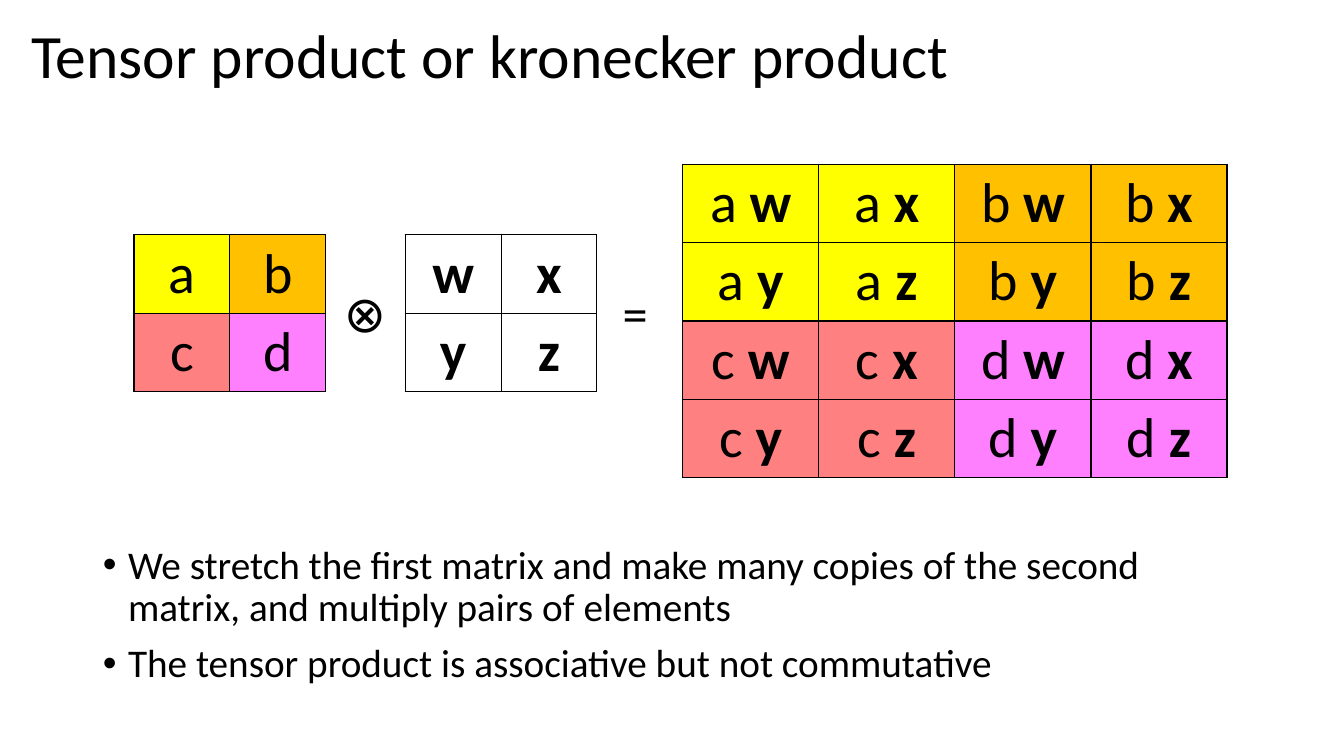
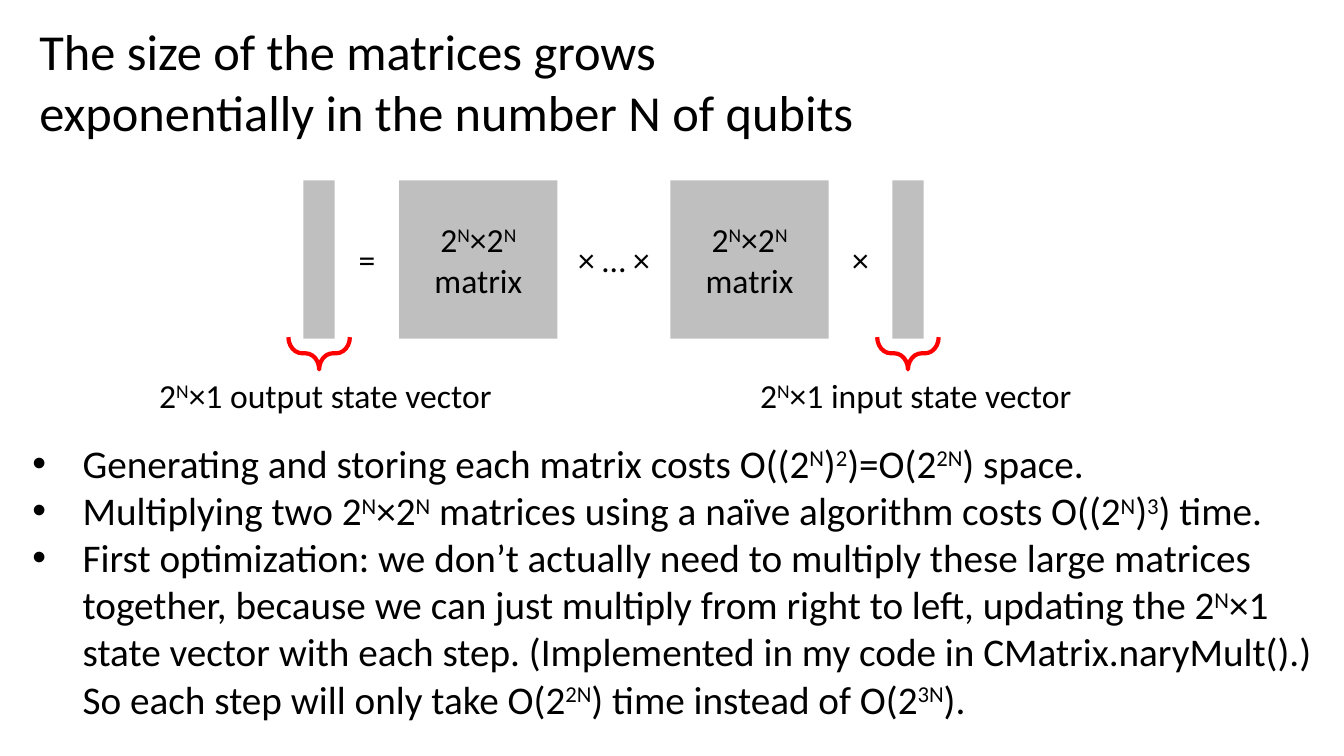
import pptx
import pptx.util
import pptx.dml.color
import pptx.enum.shapes
import pptx.enum.text
import pptx.oxml
import pptx.oxml.ns

BLACK = "000000"
GRAY = "BFBFBF"
RED = "FF0000"
FONT = "Calibri"
LEFT = pptx.enum.text.PP_ALIGN.LEFT
CENTER = pptx.enum.text.PP_ALIGN.CENTER
TOP = pptx.enum.text.MSO_ANCHOR.TOP
MIDDLE = pptx.enum.text.MSO_ANCHOR.MIDDLE

KRONECKER = {
    "title": ["Tensor product or kronecker product"],
    "title_style": {"box": (21, 10, 1132, 96), "size": 44, "anchor": MIDDLE, "line_spacing": 0.9},
    "bullets": [
        "We stretch the first matrix and make many copies of the second matrix, and multiply pairs of elements",
        "The tensor product is associative but not commutative",
    ],
    "bullet_style": {"box": (92, 536, 1150, 204), "size": 28, "indent": 25, "line_spacing": 0.9, "gap": 10},
}
GROWTH = {
    "title": ["The size of the matrices grows\nexponentially in the number N of qubits"],
    "title_style": {"box": (29, 15, 1214, 131), "size": 36},
    "bullets": [
        "Generating and storing each matrix costs O((2^N^)^2^)=O(2^2N^) space.",
        "Multiplying two 2^N^×2^N^ matrices using a naïve algorithm costs O((2^N^)^3^) time.",
        "First optimization: we don’t actually need to multiply these large matrices together, because we can "
        "just multiply from right to left, updating the 2^N^×1 state vector with each step. (Implemented in my "
        "code in CMatrix.naryMult().) So each step will only take O(2^2N^) time instead of O(2^3N^).",
    ],
    "bullet_style": {"box": (22, 431, 1304, 293), "size": 28, "indent": 50},
}

FIRST_MATRIX = ["ab", "cd"]
SECOND_MATRIX = ["wx", "yz"]
ENTRY_FILLS = {"a": "FFFF00", "b": "FFC000", "c": "FF8080", "d": "FF80FF"}
ROW_HEIGHT = 77
PRODUCT_OPERATORS = [("⊗", 362), ("=", 630)]

BLOCK_TOP, BLOCK_HEIGHT = 179, 157
VECTOR_WIDTH = 31
MATRIX_TEXT = "2^N^×2^N^\nmatrix"
BLOCKS = [(301, VECTOR_WIDTH, ""), (396, BLOCK_HEIGHT, MATRIX_TEXT),
          (665, BLOCK_HEIGHT, MATRIX_TEXT), (885, VECTOR_WIDTH, "")]
CHAIN_OPERATORS = ["=", "× … ×", "×"]
VECTOR_LABELS = [("2^N^×1 output state vector", 148), ("2^N^×1 input state vector", 744)]


def px(length):
    return pptx.util.Emu(round(length * 9144))


def color(value):
    return pptx.dml.color.RGBColor.from_string(value)


def place(shape, box):
    shape.left, shape.top, shape.width, shape.height = map(px, box)


def add_marked_runs(paragraph, text):
    for line_number, line in enumerate(text.split("\n")):
        if line_number:
            paragraph.add_line_break()
        for index, piece in enumerate(line.split("^")):
            if piece:
                run = paragraph.add_run()
                run.text = piece
                if index % 2:
                    run._r.get_or_add_rPr().set("baseline", "30000")


def write(frame, texts, size, alignment=LEFT, anchor=TOP, indent=0, line_spacing=1.0, gap=0):
    frame.word_wrap = True
    frame.auto_size = pptx.enum.text.MSO_AUTO_SIZE.NONE
    frame.vertical_anchor = anchor
    for index, text in enumerate(texts):
        paragraph = frame.add_paragraph() if index else frame.paragraphs[0]
        paragraph.alignment = alignment
        paragraph.line_spacing = line_spacing
        paragraph.space_before = pptx.util.Pt(gap if index else 0)
        if indent:
            properties = paragraph._p.get_or_add_pPr()
            properties.set("marL", str(px(indent)))
            properties.set("indent", str(-px(indent)))
        style_font(paragraph.font, size)
        add_marked_runs(paragraph, text)


def style_font(font, size):
    font.name = FONT
    font.size = pptx.util.Pt(size)
    font.color.rgb = color(BLACK)


def add_text(slide, box, text, size, alignment=CENTER):
    shape = slide.shapes.add_textbox(*map(px, box))
    write(shape.text_frame, [text], size, alignment)


def add_content_slide(presentation, content):
    slide = presentation.slides.add_slide(presentation.slide_layouts[1])
    for shape, part in zip(slide.placeholders, ("title", "bullet")):
        style = dict(content[part + "_style"])
        place(shape, style.pop("box"))
        write(shape.text_frame, content["title" if part == "title" else "bullets"], **style)
    return slide


def border_cell(cell):
    properties = cell._tc.get_or_add_tcPr()
    for position, side in enumerate(("lnL", "lnR", "lnT", "lnB")):
        properties.insert(position, pptx.oxml.parse_xml(
            f'<a:{side} {pptx.oxml.ns.nsdecls("a")} w="12700"><a:solidFill>'
            f'<a:srgbClr val="{BLACK}"/></a:solidFill></a:{side}>'))


def add_matrix(slide, left, top, column_width, rows):
    count = len(rows)
    frame = slide.shapes.add_table(
        count, count, px(left), px(top), px(column_width * count), px(ROW_HEIGHT * count))
    table = frame.table
    table.first_row = table.horz_banding = False
    for row_index, entries in enumerate(rows):
        for column_index, (plain, bold) in enumerate(entries):
            cell = table.cell(row_index, column_index)
            if plain:
                cell.fill.solid()
                cell.fill.fore_color.rgb = color(ENTRY_FILLS[plain])
            else:
                cell.fill.background()
            border_cell(cell)
            paragraph = cell.text_frame.paragraphs[0]
            paragraph.alignment = CENTER
            style_font(paragraph.font, 40)
            if plain:
                paragraph.add_run().text = plain + " " if bold else plain
            if bold:
                run = paragraph.add_run()
                run.text = bold
                run.font.bold = True


def add_kronecker_slide(presentation):
    slide = add_content_slide(presentation, KRONECKER)
    product = [[(first, second) for first in first_row for second in second_row]
               for first_row in FIRST_MATRIX for second_row in SECOND_MATRIX]
    add_matrix(slide, 133, 233, 95, [[(entry, "") for entry in row] for row in FIRST_MATRIX])
    add_matrix(slide, 402, 233, 95, [[("", entry) for entry in row] for row in SECOND_MATRIX])
    add_matrix(slide, 677, 163, 135, product)
    for operator, center in PRODUCT_OPERATORS:
        add_text(slide, (center - 40, 275, 80, 71), operator, 36)


def add_block(slide, left, width, text):
    block = slide.shapes.add_shape(
        pptx.enum.shapes.MSO_SHAPE.RECTANGLE, px(left), px(BLOCK_TOP), px(width), px(BLOCK_HEIGHT))
    block.shadow.inherit = False
    block.fill.solid()
    block.fill.fore_color.rgb = color(GRAY)
    block.line.fill.background()
    if text:
        write(block.text_frame, [text], 24, CENTER, MIDDLE)


def add_brace(slide, center):
    brace = slide.shapes.add_shape(
        pptx.enum.shapes.MSO_SHAPE.RIGHT_BRACE, px(center - 16), px(320), px(32), px(61))
    brace.rotation = 90
    brace.adjustments[0] = 0.425
    brace.adjustments[1] = 0.5
    brace.shadow.inherit = False
    brace.fill.background()
    brace.line.color.rgb = color(RED)
    brace.line.width = pptx.util.Pt(3)


def add_growth_slide(presentation):
    slide = add_content_slide(presentation, GROWTH)
    for left, width, text in BLOCKS:
        add_block(slide, left, width, text)
        if width == VECTOR_WIDTH:
            add_brace(slide, left + width / 2)
    for operator, before, after in zip(CHAIN_OPERATORS, BLOCKS, BLOCKS[1:]):
        gap_left = before[0] + before[1]
        add_text(slide, (gap_left, 232, after[0] - gap_left, 50), operator, 24)
    for label, left in VECTOR_LABELS:
        add_text(slide, (left, 367, 385, 50), label, 24, LEFT)


def main():
    presentation = pptx.Presentation()
    presentation.slide_width = px(1333)
    presentation.slide_height = px(750)
    add_kronecker_slide(presentation)
    add_growth_slide(presentation)
    presentation.save("out.pptx")


if __name__ == "__main__":
    main()
